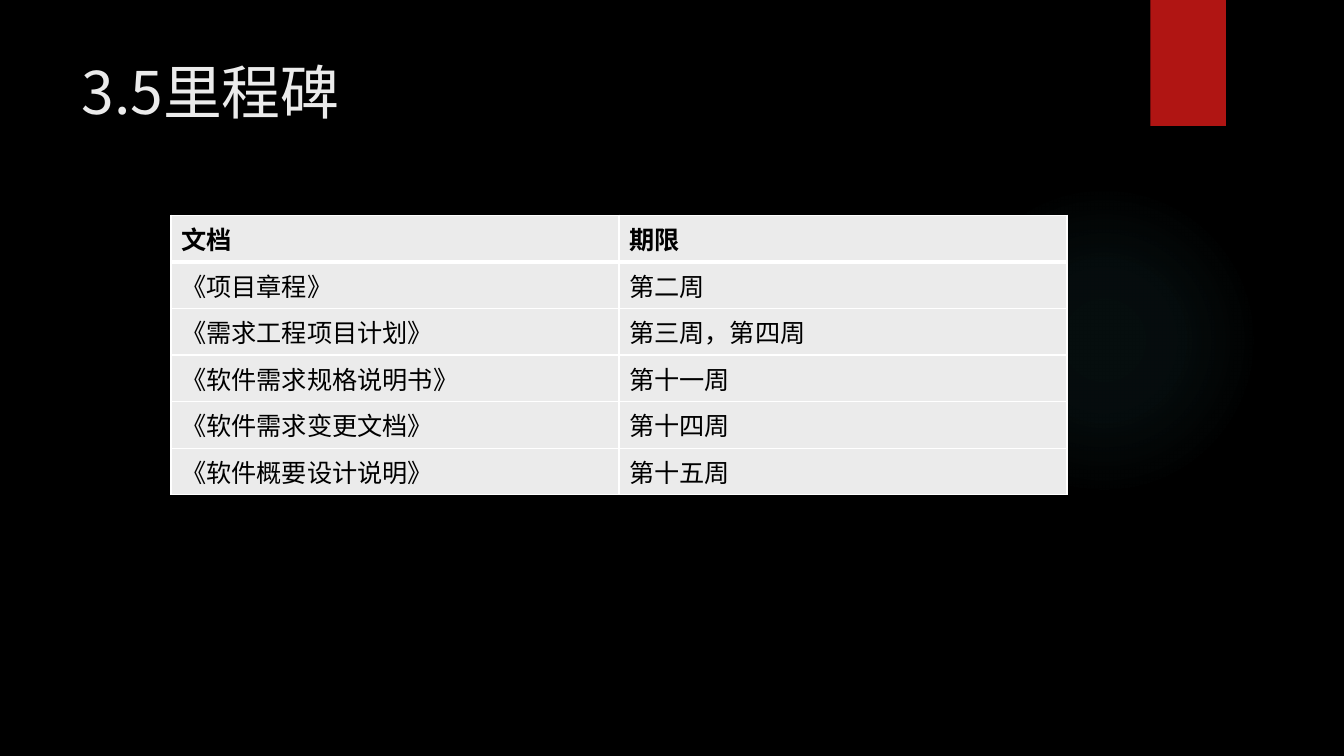
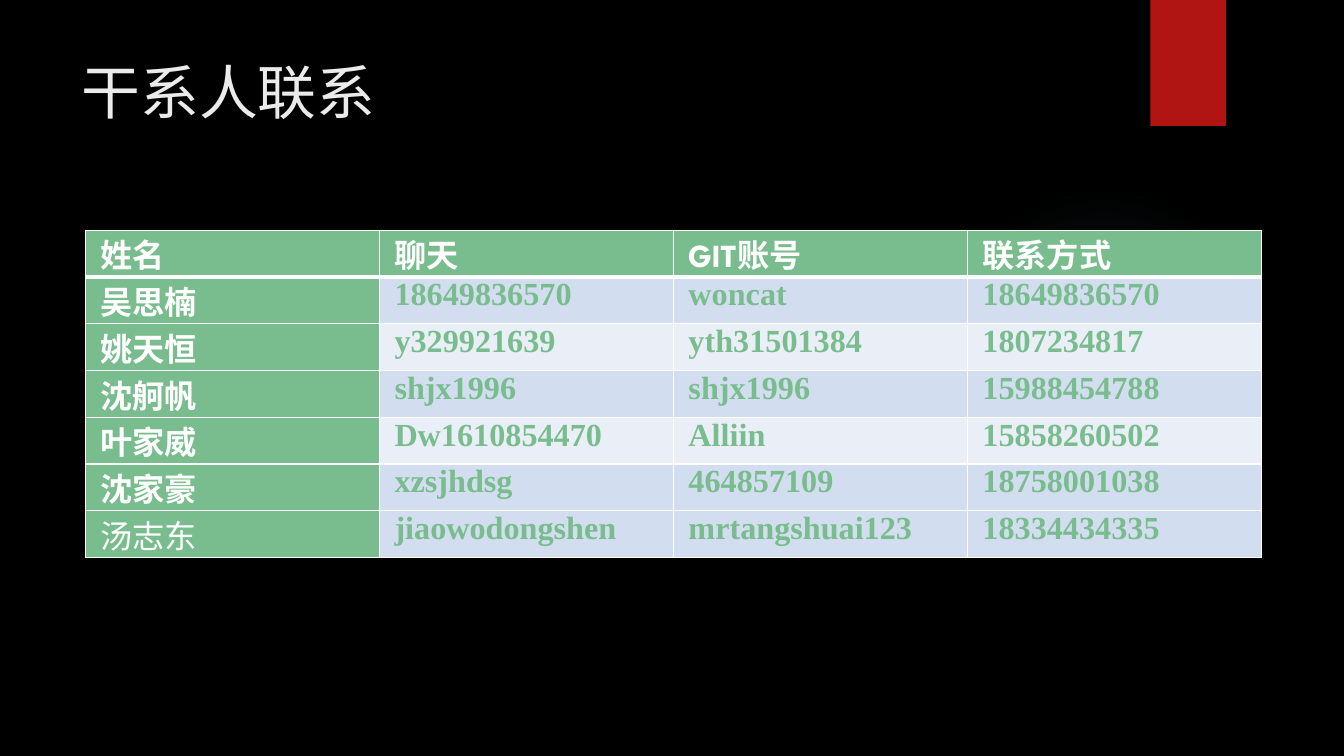
from dataclasses import dataclass

from pptx import Presentation
from pptx.dml.color import RGBColor as Rgb
from pptx.enum.shapes import MSO_SHAPE as Form
from pptx.enum.text import MSO_ANCHOR as Anchor, MSO_AUTO_SIZE as Fit, PP_ALIGN as Align
from pptx.oxml import parse_xml
from pptx.oxml.ns import nsdecls
from pptx.slide import Slide, SlideLayout
from pptx.util import Pt


@dataclass(frozen=True)
class Theme:
    back: str = "000000"
    band: str = "B01513"
    glow: str = "50B9C1"
    pale: str = "EBEBEB"
    ink: str = "000000"
    white: str = "FFFFFF"
    green: str = "79BD8E"
    odd: str = "D2DEEF"
    even: str = "EAEFF7"
    sans: str = "Noto Sans CJK SC"
    head: str = "League Spartan"
    plain: str = "Calibri"
    serif: str = "Times New Roman"
    title: float = 42
    body: float = 18
    large: float = 23
    thin: float = 1
    thick: float = 3


T = Theme()


@dataclass(frozen=True)
class Box:
    left: float
    top: float
    width: float
    height: float


@dataclass(frozen=True)
class Style:
    font: str
    size: float
    color: str
    bold: bool = False


@dataclass(frozen=True)
class Entry:
    text: str
    style: Style
    fill: str


@dataclass(frozen=True)
class Grid:
    left: float
    top: float
    col: float
    row: float
    pad: tuple[float, float]
    align: Align
    rows: list[list[Entry]]


DOCS = [
    ("文档", "期限"),
    ("《项目章程》", "第二周"),
    ("《需求工程项目计划》", "第三周，第四周"),
    ("《软件需求规格说明书》", "第十一周"),
    ("《软件需求变更文档》", "第十四周"),
    ("《软件概要设计说明》", "第十五周"),
]
LABELS = [
    ("姓名", T.plain),
    ("聊天", T.serif),
    ("GIT账号", T.head),
    ("联系方式", T.plain),
]
PEOPLE = [
    ("吴思楠", "18649836570", "woncat", "18649836570"),
    ("姚天恒", "y329921639", "yth31501384", "1807234817"),
    ("沈舸帆", "shjx1996", "shjx1996", "15988454788"),
    ("叶家威", "Dw1610854470", "Alliin", "15858260502"),
    ("沈家豪", "xzsjhdsg", "464857109", "18758001038"),
    ("汤志东", "jiaowodongshen", "mrtangshuai123", "18334434335"),
]


def add_run(para, text: str, style: Style) -> None:
    run = para.add_run()
    run.text = text
    font = run.font
    font.name = style.font
    font.size = Pt(style.size)
    font.bold = style.bold
    font.color.rgb = Rgb.from_string(style.color)
    run._r.get_or_add_rPr().append(
        parse_xml(f'<a:ea {nsdecls("a")} typeface="{T.sans}"/>'))


def add_form(slide: Slide, form: Form, box: Box, color: str):
    shape = slide.shapes.add_shape(
        form, Pt(box.left), Pt(box.top), Pt(box.width), Pt(box.height))
    shape.shadow.inherit = False
    shape.line.fill.background()
    shape.fill.solid()
    shape.fill.fore_color.rgb = Rgb.from_string(color)
    return shape


def add_decor(layout: SlideLayout, slide: Slide) -> None:
    layout.background.fill.solid()
    layout.background.fill.fore_color.rgb = Rgb.from_string(T.back)
    glow = add_form(slide, Form.OVAL, Box(677.5, 131.8, 221.8, 221.8), T.glow)
    stops = "".join(
        f'<a:gs pos="{pos}000"><a:srgbClr val="{T.glow}">'
        f'<a:alpha val="{alpha}000"/></a:srgbClr></a:gs>'
        for pos, alpha in ((0, 7), (36, 6), (69, 0)))
    fade = parse_xml(
        f'<a:gradFill {nsdecls("a")}><a:gsLst>{stops}</a:gsLst><a:path path="circle">'
        '<a:fillToRect l="50000" t="50000" r="50000" b="50000"/></a:path></a:gradFill>')
    props = glow.element.spPr
    props.replace(props.find(fade.tag.replace("gradFill", "solidFill")), fade)
    band = add_form(slide, Form.RECTANGLE, Box(821.7, 0, 54, 90), T.band)
    tree = layout.shapes.element
    for place, shape in enumerate((glow, band), 2):
        tree.insert(place, shape.element)


def set_title(slide: Slide, text: str, height: float) -> None:
    title = slide.shapes.title
    title.left, title.top = Pt(51), Pt(36)
    title.width, title.height = Pt(741), Pt(height)
    frame = title.text_frame
    frame.word_wrap = True
    frame.auto_size = Fit.NONE
    frame.vertical_anchor = Anchor.TOP
    para = frame.paragraphs[0]
    para.alignment = Align.LEFT
    add_run(para, text, Style(T.sans, T.title, T.pale))


def set_edges(cell, row: int) -> None:
    props = cell._tc.get_or_add_tcPr()
    for place, side in enumerate("LRTB"):
        heavy = (row, side) in ((0, "B"), (1, "T"))
        width = Pt(T.thick if heavy else T.thin)
        props.insert(place, parse_xml(
            f'<a:ln{side} {nsdecls("a")} w="{width}"><a:solidFill>'
            f'<a:srgbClr val="{T.white}"/></a:solidFill></a:ln{side}>'))


def add_grid(slide: Slide, grid: Grid) -> None:
    rows, cols = len(grid.rows), len(grid.rows[0])
    table = slide.shapes.add_table(
        rows, cols, Pt(grid.left), Pt(grid.top),
        Pt(cols * grid.col), Pt(rows * grid.row)).table
    table.horz_banding = False
    for col in table.columns:
        col.width = Pt(grid.col)
    for row, line in enumerate(grid.rows):
        table.rows[row].height = Pt(grid.row)
        for col, entry in enumerate(line):
            cell = table.cell(row, col)
            cell.margin_left = cell.margin_right = Pt(grid.pad[0])
            cell.margin_top = cell.margin_bottom = Pt(grid.pad[1])
            cell.fill.solid()
            cell.fill.fore_color.rgb = Rgb.from_string(entry.fill)
            set_edges(cell, row)
            para = cell.text_frame.paragraphs[0]
            para.alignment = grid.align
            add_run(para, entry.text, entry.style)


def doc_rows() -> list[list[Entry]]:
    return [[Entry(text, Style(T.head, T.body, T.ink, row == 0), T.pale) for text in line]
            for row, line in enumerate(DOCS)]


def team_rows() -> list[list[Entry]]:
    rows = [[Entry(text, Style(font, T.large, T.white, True), T.green)
             for text, font in LABELS]]
    value = Style(T.serif, T.large, T.green, True)
    last = len(PEOPLE) - 1
    for row, (name, *rest) in enumerate(PEOPLE):
        fill = T.even if row % 2 and row < last else T.odd
        label = Style(T.head, T.large, T.white, row < last)
        rows.append([Entry(name, label, T.green)]
                    + [Entry(text, value, fill) for text in rest])
    return rows


def main() -> None:
    deck = Presentation()
    deck.slide_width, deck.slide_height = Pt(960), Pt(540)
    layout = deck.slide_layouts[5]
    first, second = (deck.slides.add_slide(layout) for _ in range(2))
    add_decor(layout, first)
    set_title(first, "3.5里程碑", 67)
    add_grid(first, Grid(122.2, 153.7, 320, 29.2, (7.2, 3.6), Align.LEFT, doc_rows()))
    set_title(second, "干系人联系", 110)
    add_grid(second, Grid(61, 164.5, 210, 28.5, (10.8, 0), Align.JUSTIFY, team_rows()))
    deck.save("out.pptx")


if __name__ == "__main__":
    main()
